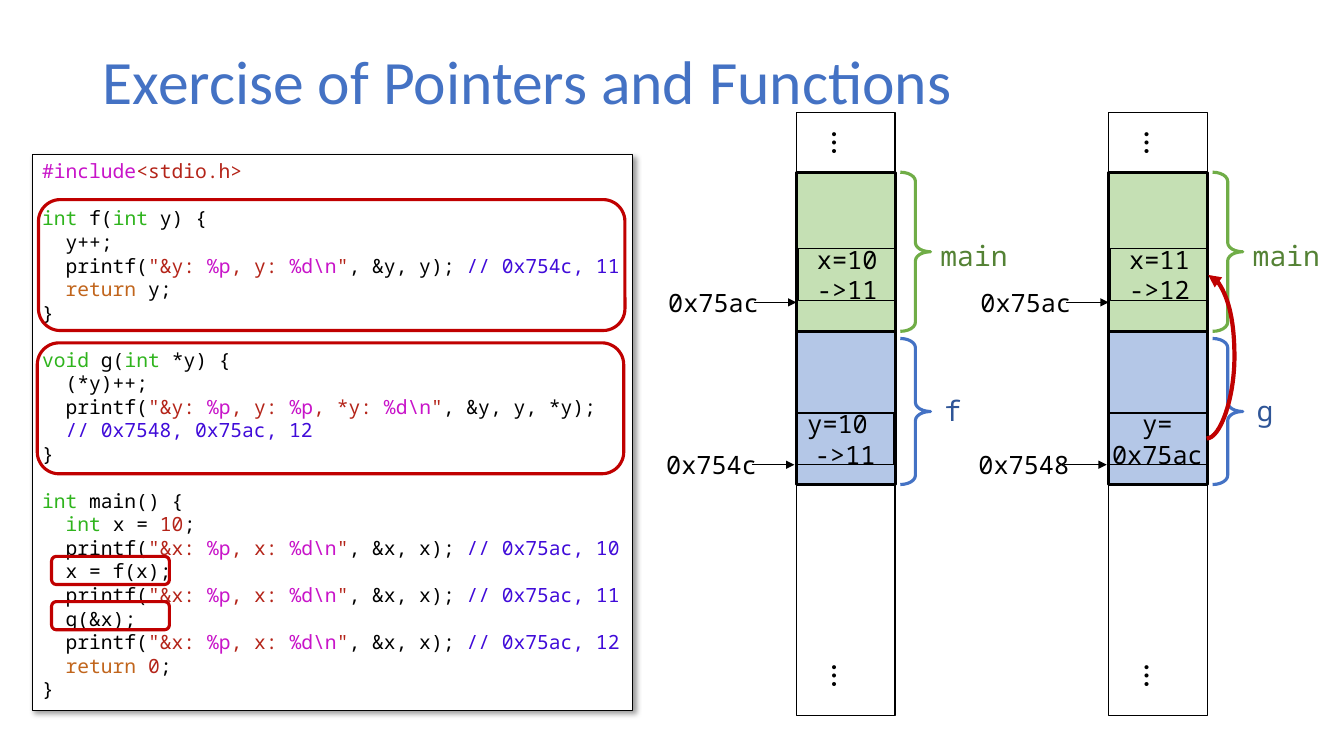
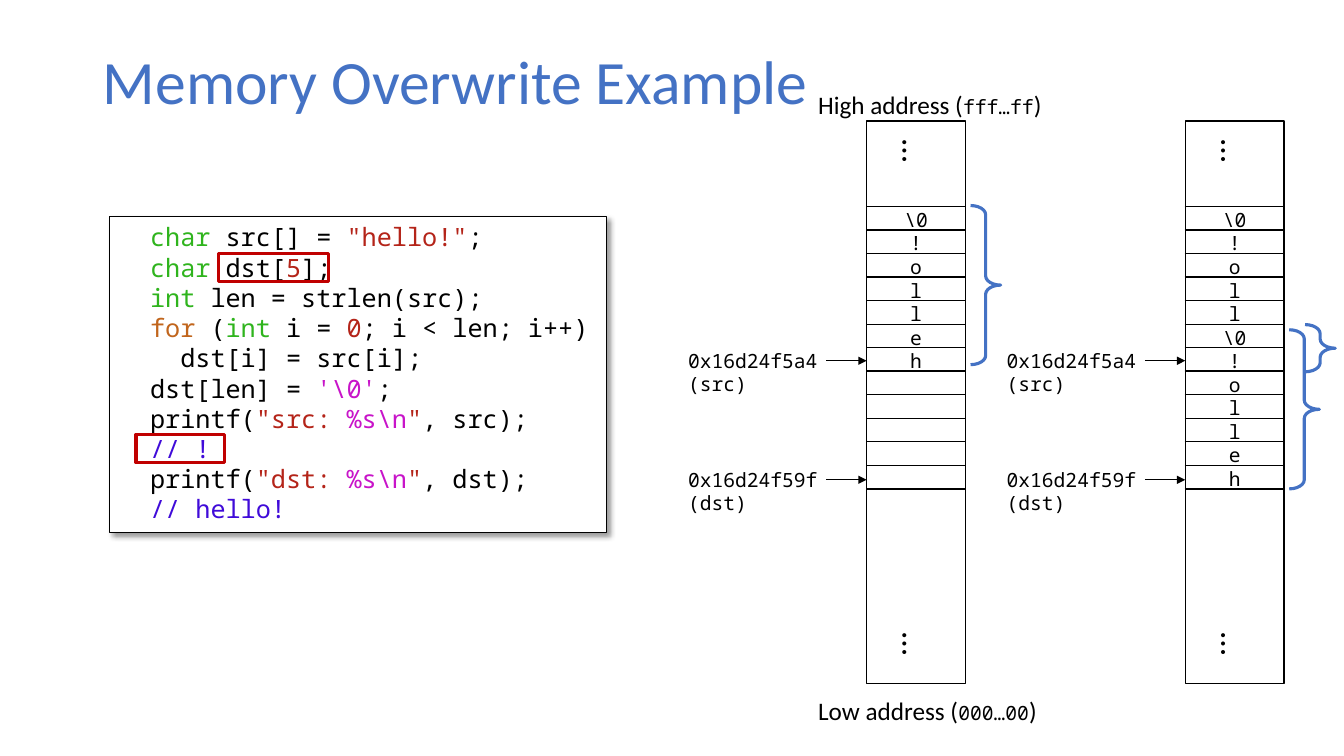
from collections import namedtuple

from lxml.etree import SubElement
from pptx import Presentation
from pptx.dml.color import RGBColor
from pptx.enum.shapes import MSO_CONNECTOR, MSO_SHAPE
from pptx.enum.text import MSO_ANCHOR, MSO_AUTO_SIZE, PP_ALIGN
from pptx.oxml.ns import qn
from pptx.util import Cm, Pt

COLORS = {
    "title": "4472C4", "black": "000000", "white": "FFFFFF", "highlight": "C00000",
    "green_fill": "C5E0B4", "green_line": "70AD47", "green_text": "548235",
    "blue_fill": "B4C7E7", "blue_line": "4472C4", "blue_text": "2F5597",
}
# Code text switches colour at each § followed by one of these letters.
SYNTAX = {
    "k": "000000",  # plain
    "p": "C814C9",  # preprocessor and format specifiers
    "s": "B42419",  # strings and numbers
    "t": "2FB41D",  # types
    "w": "C1651C",  # keywords
    "c": "400BD9",  # comments
}
SANS, MONO = "Calibri", "Noto Sans Mono"
TOWER_WIDTH = 2.49
BRACE_LEFT, BRACE_WIDTH = 2.62, 0.76
ROW_HEIGHT = 0.59

POINTER_CODE = r'''§p#include§s<stdio.h>

§tint§k f(§tint§k y) {
  y++;
  printf(§s"&y: §p%p§s, y: §p%d\n§s"§k, &y, y); §c// 0x754c, 11
  §wreturn§k y;
}

§tvoid§k g(§tint§k *y) {
  (*y)++;
  printf(§s"&y: §p%p§s, y: §p%p§s, *y: §p%d\n§s"§k, &y, y, *y);
  §c// 0x7548, 0x75ac, 12
}

§tint§k main() {
  §tint§k x = §s10§k;
  printf(§s"&x: §p%p§s, x: §p%d\n§s"§k, &x, x); §c// 0x75ac, 10
  x = f(x);
  printf(§s"&x: §p%p§s, x: §p%d\n§s"§k, &x, x); §c// 0x75ac, 11
  g(&x);
  printf(§s"&x: §p%p§s, x: §p%d\n§s"§k, &x, x); §c// 0x75ac, 12
  §wreturn §s0§k;
}'''

OVERWRITE_CODE = r'''  §tchar §ksrc[] = §s"hello!"§k;
  §tchar §kdst[§s5§k];
  §tint §klen = strlen(src);
  §wfor§k (§tint §ki = §s0§k; i < len; i++)
    dst[i] = src[i];
  dst[len] = §p'\0'§k;
  printf(§s"src: §p%s\n§s"§k, src);
  §c// !
  printf(§s"dst: §p%s\n§s"§k, dst);
  §c// hello!'''

# Offsets are measured from the top left corner of the memory tower.
StackFrame = namedtuple(
    "StackFrame", "hue top height brace_gap label_left label_top variable_top shift")
CALLER = StackFrame("green", 1.5, 4.01, 0, 3.38, 3.05, 3.43, 0.05)
CALLEE = StackFrame("blue", 5.51, 3.86, 0.18, 3.48, 6.96, 7.57, 0)


def rgb(name):
    return RGBColor.from_string(COLORS[name])


def style_paragraph(paragraph, size, font=MONO, color="black", align=PP_ALIGN.LEFT):
    paragraph.alignment = align
    paragraph.font.size = Pt(size)
    paragraph.font.name = font
    paragraph.font.color.rgb = rgb(color)


def write_lines(frame, lines, size, **style):
    for index, line in enumerate(lines):
        paragraph = frame.add_paragraph() if index else frame.paragraphs[0]
        paragraph.add_run().text = line
        style_paragraph(paragraph, size, **style)


def add_label(slide, box, lines, size, **style):
    label = slide.shapes.add_textbox(*map(Cm, box))
    label.text_frame.word_wrap = False
    write_lines(label.text_frame, lines, size, **style)
    return label


def add_outline(slide, kind, box, line="black", width=1.0, fill=None):
    shape = slide.shapes.add_shape(kind, *map(Cm, box))
    shape.shadow.inherit = False
    if fill:
        shape.fill.solid()
        shape.fill.fore_color.rgb = rgb(fill)
    else:
        shape.fill.background()
    shape.line.color.rgb = rgb(line)
    shape.line.width = Pt(width)
    return shape


def add_highlights(slide, kind, boxes):
    for box in boxes:
        add_outline(slide, kind, box, "highlight", 2.25)


def add_brace(slide, left, top, height, line="blue_line"):
    brace = add_outline(slide, MSO_SHAPE.RIGHT_BRACE,
                        (left, top, BRACE_WIDTH, height), line, 2.25)
    brace.adjustments[0] = 0.302
    brace.adjustments[1] = 0.5


def add_arrow(slide, start, end, color="black", width=0.5, kind=MSO_CONNECTOR.STRAIGHT):
    arrow = slide.shapes.add_connector(kind, *map(Cm, (*start, *end)))
    arrow.line.color.rgb = rgb(color)
    arrow.line.width = Pt(width)
    SubElement(arrow.line._get_or_add_ln(), qn("a:tailEnd"), type="triangle")
    SubElement(arrow._element.spPr, qn("a:effectLst"))
    return arrow


def add_titled_slide(deck, text):
    slide = deck.slides.add_slide(deck.slide_layouts[5])
    title = slide.shapes.title
    title.left, title.top, title.width, title.height = map(Cm, (2.34, 1.02, 29.21, 2.21))
    frame = title.text_frame
    frame.auto_size = MSO_AUTO_SIZE.NONE
    frame.vertical_anchor = MSO_ANCHOR.MIDDLE
    write_lines(frame, [text], 44, font=SANS, color="title")
    frame.paragraphs[0].line_spacing = 0.9
    return slide


def add_code_panel(slide, box, code, size):
    """Coloured code in a shadowed panel; an empty line becomes space before the next."""
    panel = add_outline(slide, MSO_SHAPE.RECTANGLE, box, width=0.75, fill="white")
    effects = panel._element.spPr.find(qn("a:effectLst"))
    shadow = SubElement(effects, qn("a:outerShdw"), blurRad=str(Pt(4)), dist=str(Pt(3)),
                        dir="2700000", algn="tl", rotWithShape="0")
    shade = SubElement(shadow, qn("a:srgbClr"), val=COLORS["black"])
    SubElement(shade, qn("a:alpha"), val="40000")

    frame = panel.text_frame
    frame.word_wrap = False
    frame.vertical_anchor = MSO_ANCHOR.TOP
    paragraph, gap = frame.paragraphs[0], False
    for number, line in enumerate(code.split("\n")):
        if not line:
            gap = True
            continue
        if number:
            paragraph = frame.add_paragraph()
        style_paragraph(paragraph, size)
        if gap:
            paragraph.space_before = Pt(size * 1.2)
            gap = False
        for piece in f"§k{line}".split("§")[1:]:
            if piece[1:]:
                run = paragraph.add_run()
                run.text = piece[1:]
                run.font.color.rgb = RGBColor.from_string(SYNTAX[piece[0]])


def add_tower(slide, left, top, height):
    """Memory column with a vertical ellipsis at both ends."""
    add_outline(slide, MSO_SHAPE.RECTANGLE, (left, top, TOWER_WIDTH, height), fill="white")
    width, depth = 1.95, 1.27
    for dots_top in (top + 0.13, top + height - depth - 0.36):
        dots = add_label(slide, (left + (TOWER_WIDTH - width) / 2, dots_top, width, depth),
                         ["…"], 24, font=SANS, align=PP_ALIGN.CENTER)
        dots.rotation = 90


def add_stack_frame(slide, left, top, frame, function, variable, address):
    """One function's part of the stack, with its variable and that one's address."""
    add_outline(slide, MSO_SHAPE.RECTANGLE, (left, top + frame.top, TOWER_WIDTH, frame.height),
                width=2.25, fill=f"{frame.hue}_fill")
    add_brace(slide, left + BRACE_LEFT, top + frame.top + frame.brace_gap,
              frame.height - frame.brace_gap, f"{frame.hue}_line")
    add_label(slide, (left + frame.label_left, top + frame.label_top,
                      0.51 + 0.43 * len(function), 1.12),
              [function], 20, color=f"{frame.hue}_text")

    cell_top, cell_height = top + frame.variable_top, 1.3
    cell = add_outline(slide, MSO_SHAPE.RECTANGLE,
                       (left + frame.shift, cell_top, 2.46, cell_height))
    cell.text_frame.margin_left = cell.text_frame.margin_right = 0
    cell.text_frame.vertical_anchor = MSO_ANCHOR.MIDDLE
    write_lines(cell.text_frame, variable, 18, align=PP_ALIGN.CENTER)

    arrow_y = cell_top + cell_height + frame.shift
    tip = left + frame.shift - 0.05
    add_arrow(slide, (tip - 1.07, arrow_y), (tip, arrow_y))
    add_label(slide, (tip - 3.48, arrow_y - 0.51, 2.84, 1.02), [address], 18)


def add_bytes(slide, left, top, values):
    """One table row for each byte, highest address first."""
    table = slide.shapes.add_table(len(values), 1, Cm(left), Cm(top), Cm(TOWER_WIDTH),
                                   Cm(ROW_HEIGHT * len(values))).table
    table.first_row = table.horz_banding = False
    for row, value in zip(table.rows, values):
        row.height = Cm(ROW_HEIGHT)
        cell = row.cells[0]
        cell.margin_left = cell.margin_right = cell.margin_top = cell.margin_bottom = 0
        cell.vertical_anchor = MSO_ANCHOR.MIDDLE
        borders = cell._tc.get_or_add_tcPr()
        for side in "LRTB":
            border = SubElement(borders, qn(f"a:ln{side}"), w=str(Pt(1)))
            SubElement(SubElement(border, qn("a:solidFill")), qn("a:srgbClr"),
                       val=COLORS["black"])
        cell.fill.background()
        if value:
            write_lines(cell.text_frame, [value], 14, align=PP_ALIGN.CENTER)
        else:
            SubElement(cell.text_frame.paragraphs[0]._p, qn("a:endParaRPr"), sz="1400")


def add_byte_tower(slide, left, top, source, target):
    add_tower(slide, left, top, 14.17)
    add_bytes(slide, left, top + 2.15, source)
    add_bytes(slide, left, top + 6.3, target)
    for offset, lines in ((5.61, ["0x16d24f5a4", "(src)"]), (8.61, ["0x16d24f59f", "(dst)"])):
        add_label(slide, (left - 4.75, top + offset, 3.78, 1.45), lines, 14)
        arrow_y = top + offset + 0.43
        add_arrow(slide, (left - 1.02, arrow_y), (left, arrow_y))


def add_address_note(slide, box, name, digits):
    note = add_label(slide, box, [f"{name} address ("], 18, font=SANS)
    paragraph = note.text_frame.paragraphs[0]
    address = paragraph.add_run()
    address.text = digits
    address.font.name, address.font.size = MONO, Pt(14)
    paragraph.add_run().text = ")"


def build_pointer_slide(deck):
    slide = add_titled_slide(deck, "Exercise of Pointers and Functions")
    add_code_panel(slide, (0.81, 3.89, 15.14, 14.02), POINTER_CODE, 14)
    top = 2.84
    calls = (
        (20.07, ["x=10", "->11"], "f", ["y=10 ", "->11"], "0x754c"),
        (27.94, ["x=11", "->12"], "g", ["y=", "0x75ac"], "0x7548"),
    )
    for left, x_value, function, y_value, y_address in calls:
        add_tower(slide, left, top, 15.19)
        add_stack_frame(slide, left, top, CALLER, "main", x_value, "0x75ac")
        add_stack_frame(slide, left, top, CALLEE, function, y_value, y_address)
    pointer = add_arrow(slide, (30.41, 11.05), (30.45, 6.93), "highlight", 3,
                        MSO_CONNECTOR.CURVE)
    bend = pointer._element.spPr.find(qn("a:prstGeom")).find(qn("a:avLst"))
    SubElement(bend, qn("a:gd"), name="adj1", fmla="val 1750000")
    add_highlights(slide, MSO_SHAPE.ROUNDED_RECTANGLE, (
        (0.97, 5.03, 14.78, 3.3), (0.94, 8.64, 14.78, 3.3),
        (1.3, 14.02, 2.97, 0.71), (1.3, 15.16, 2.97, 0.71)))


def build_overwrite_slide(deck):
    slide = add_titled_slide(deck, "Memory Overwrite Example")
    add_code_panel(slide, (2.77, 5.46, 12.52, 7.95), OVERWRITE_CODE, 18)
    before, after, top = 21.84, 29.87, 3.05
    add_byte_tower(slide, before, top, [r"\0", *"!olleh"], [""] * 5)
    add_byte_tower(slide, after, top, [r"\0", *"!oll", r"\0", "!"], "olleh")
    add_address_note(slide, (20.37, 17.4, 6.07, 1.02), "Low", "000…00")
    add_address_note(slide, (20.37, 2.13, 6.2, 1.02), "High", "fff…ff")
    add_highlights(slide, MSO_SHAPE.RECTANGLE, (
        (3.43, 10.95, 2.24, 0.71), (5.51, 6.38, 2.77, 0.71)))
    add_brace(slide, before + BRACE_LEFT, top + 2.13, 4.01)
    add_brace(slide, after + BRACE_LEFT, top + 5.26, 4.01)
    add_brace(slide, after + BRACE_LEFT + 0.4, top + 5.13, 1.19)


def main():
    deck = Presentation()
    deck.slide_width, deck.slide_height = Cm(33.87), Cm(19.05)
    build_pointer_slide(deck)
    build_overwrite_slide(deck)
    deck.save("out.pptx")


if __name__ == "__main__":
    main()
